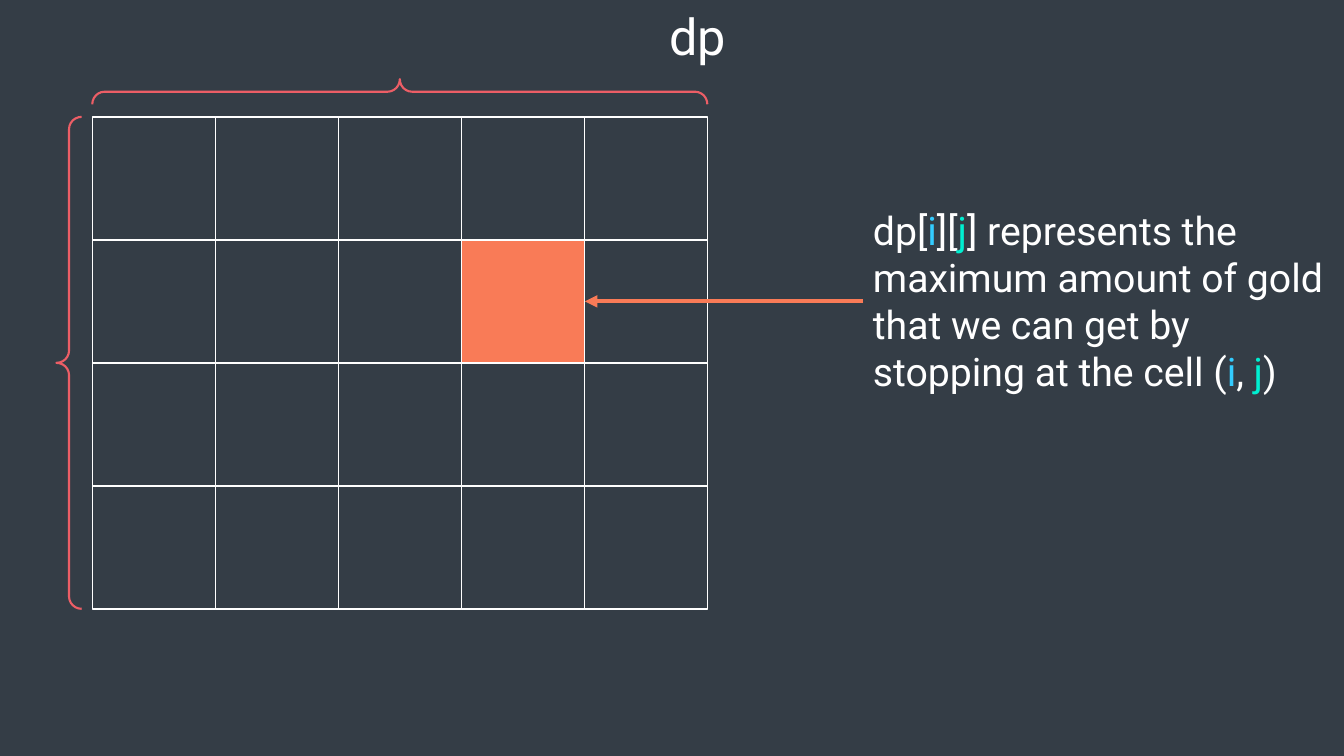
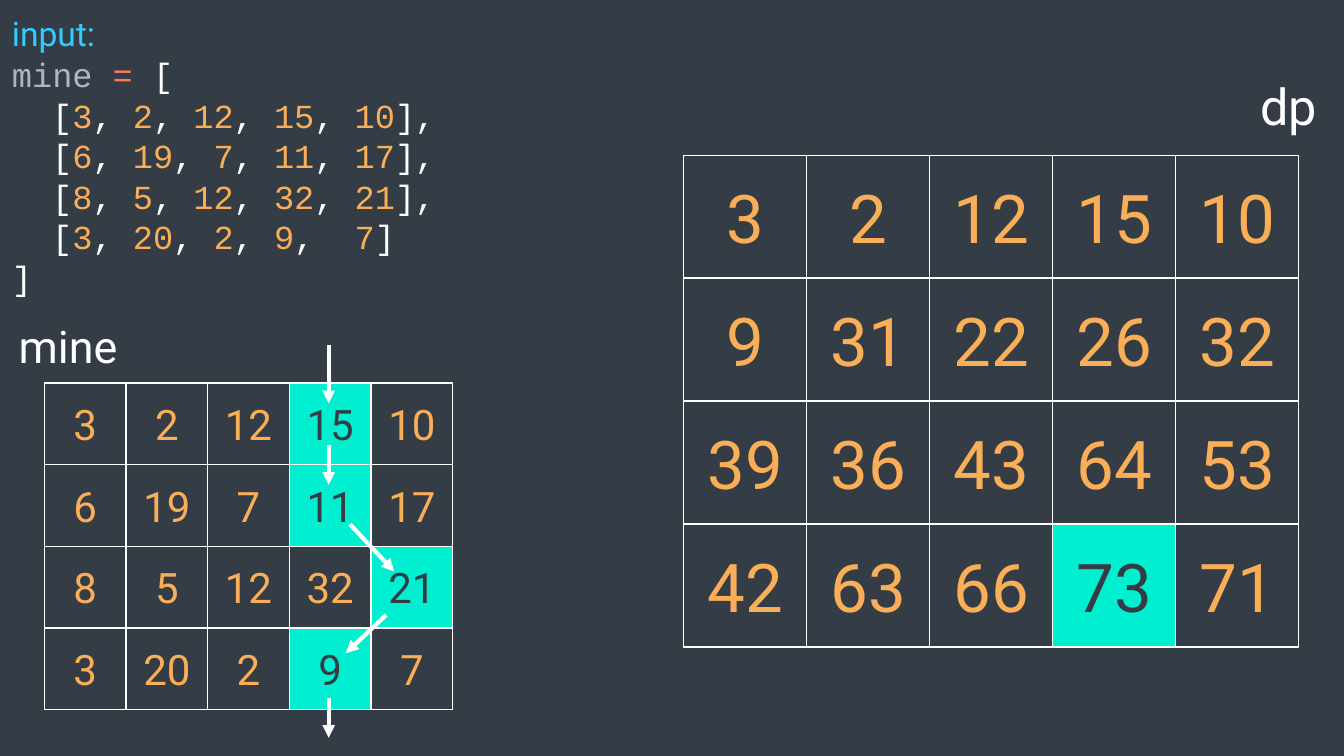
import dataclasses
import itertools

import lxml.etree
import pptx
import pptx.dml.color
import pptx.enum.shapes
import pptx.enum.text
import pptx.oxml.ns
import pptx.util

SHAPE = pptx.enum.shapes.MSO_SHAPE
ALIGN = pptx.enum.text.PP_ALIGN
ANCHOR = pptx.enum.text.MSO_ANCHOR
TITLE_ONLY = 5
EMU_PER_PX = 9144  # 100 px to the inch


@dataclasses.dataclass(frozen=True)
class Theme:
    background: str = "343D46"
    white: str = "FFFFFF"
    orange: str = "F97B57"
    amber: str = "F9AE57"
    blue: str = "33CCFF"
    teal: str = "00EFD1"
    red: str = "EC5E66"
    gray: str = "A9B7C6"
    font: str = "Roboto"
    code_font: str = "Courier New"
    title_size: int = 36
    label_size: int = 32
    body_size: int = 28
    code_size: int = 24
    code_leading: int = 29
    large_number: int = 48
    small_number: int = 30
    cell_line: float = 1
    brace_line: float = 1.5
    arrow_line: float = 3


THEME = Theme()

CODE_ROWS = [
    "[3, 2, 12, 15, 10],",
    "[6, 19, 7, 11, 17],",
    "[8, 5, 12, 32, 21],",
    "[3, 20, 2, 9,  7]",
]
MINE = [[int(number) for number in row.strip("[],").split(",")] for row in CODE_ROWS]
BEST_PATH = [(0, 3), (1, 3), (2, 4), (3, 3)]
DP = [
    [3, 2, 12, 15, 10],
    [9, 31, 22, 26, 32],
    [39, 36, 43, 64, 53],
    [42, 63, 66, 73, 71],
]


def px(*lengths):
    return [pptx.util.Emu(length * EMU_PER_PX) for length in lengths]


def rgb(color):
    return pptx.dml.color.RGBColor.from_string(color)


def add_span(para, text, *, size, color=THEME.white, font=THEME.font):
    span = para.add_run()
    span.text = text
    span.font.size = pptx.util.Pt(size)
    span.font.color.rgb = rgb(color)
    span.font.name = font


class Painter:
    """Holds the deck, its style and the slide being drawn."""

    def __init__(self, theme, width, height):
        self.theme = theme
        self.deck = pptx.Presentation()
        self.deck.slide_width, self.deck.slide_height = px(width, height)
        self.page = None

    def new_page(self, title, center, top):
        self.page = self.deck.slides.add_slide(self.deck.slide_layouts[TITLE_ONLY])
        self.page.background.fill.solid()
        self.page.background.fill.fore_color.rgb = rgb(self.theme.background)
        box = self.page.shapes.title
        width = 110
        box.left, box.top, box.width, box.height = px(center - width // 2, top, width, 71)
        self.fill_text(box.text_frame, [[(title, self.theme.white)]],
                       align=ALIGN.CENTER, size=self.theme.title_size)

    def fill_text(self, frame, lines, *, align=ALIGN.LEFT, anchor=ANCHOR.TOP, **style):
        """Write lines, each a list of (text, color) pairs, as paragraphs."""
        frame.word_wrap = True
        frame.auto_size = pptx.enum.text.MSO_AUTO_SIZE.NONE
        frame.vertical_anchor = anchor
        for index, line in enumerate(lines):
            para = frame.add_paragraph() if index else frame.paragraphs[0]
            para.alignment = align
            for text, color in line:
                add_span(para, text, color=color, **style)

    def text(self, left, top, width, height, line, **style):
        box = self.page.shapes.add_textbox(*px(left, top, width, height))
        self.fill_text(box.text_frame, [line], **style)

    def code(self, left, top, width, height, heading, lines, indents):
        """Write a heading and code lines, with one indent in px per code line."""
        theme = self.theme
        frame = self.page.shapes.add_textbox(*px(left, top, width, height)).text_frame
        self.fill_text(frame, [[(heading, theme.blue)]], size=theme.code_size)
        for line, indent in zip(lines, indents):
            para = frame.add_paragraph()
            para._p.get_or_add_pPr().set("marL", str(px(indent)[0]))
            for text, color in line:
                add_span(para, text, color=color, size=theme.code_size, font=theme.code_font)
        for para in frame.paragraphs:
            para.line_spacing = pptx.util.Pt(theme.code_leading)

    def cell(self, left, top, side, fill):
        box = self.page.shapes.add_shape(SHAPE.RECTANGLE, *px(left, top, side, side))
        box.shadow.inherit = False
        box.fill.solid()
        box.fill.fore_color.rgb = rgb(fill)
        box.line.color.rgb = rgb(self.theme.white)
        box.line.width = pptx.util.Pt(self.theme.cell_line)
        return box

    def grid(self, left, top, side, values, marked, mark_fill, size):
        """Draw a square per value; None leaves its square empty."""
        theme = self.theme
        for row, numbers in enumerate(values):
            for column, number in enumerate(numbers):
                is_marked = (row, column) in marked
                box = self.cell(left + column * side, top + row * side, side,
                                mark_fill if is_marked else theme.background)
                if number is not None:
                    color = theme.background if is_marked else theme.amber
                    self.fill_text(box.text_frame, [[(str(number), color)]], size=size,
                                   align=ALIGN.CENTER, anchor=ANCHOR.MIDDLE)

    def brace(self, left, top, width, height, rotation=0):
        brace = self.page.shapes.add_shape(SHAPE.LEFT_BRACE, *px(left, top, width, height))
        brace.rotation = rotation
        brace.adjustments[0] = 0.485
        brace.shadow.inherit = False
        brace.fill.background()
        brace.line.color.rgb = rgb(self.theme.red)
        brace.line.width = pptx.util.Pt(self.theme.brace_line)

    def arrow(self, start, end, color):
        arrow = self.page.shapes.add_connector(
            pptx.enum.shapes.MSO_CONNECTOR.STRAIGHT, *px(*start, *end))
        arrow.line.color.rgb = rgb(color)
        arrow.line.width = pptx.util.Pt(self.theme.arrow_line)
        qn = pptx.oxml.ns.qn
        properties = arrow.element.spPr
        lxml.etree.SubElement(properties.find(qn("a:ln")), qn("a:tailEnd"), type="triangle")
        lxml.etree.SubElement(properties, qn("a:effectLst"))


def draw_definition(painter):
    theme = painter.theme
    left, top, side, rows, columns = 92, 116, 122, 4, 5
    width, height = columns * side, rows * side
    painter.new_page("dp", center=692, top=0)
    painter.grid(left, top, side, [[None] * columns] * rows, [(1, 3)], theme.orange,
                 theme.large_number)

    depth, gap = 25, 12
    painter.brace(left - gap - depth + 1, top, depth, height)
    middle_x, middle_y = left + width // 2, top - gap - depth // 2 - 1
    painter.brace(middle_x - depth // 2 - 1, middle_y - width // 2, depth, width, rotation=90)

    white, row_index, column_index = theme.white, ("i", theme.blue), ("j", theme.teal)
    painter.text(856, 200, 477, 199, [
        ("dp[", white), row_index, ("][", white), column_index,
        ("] represents the maximum amount of gold that we can get by "
         "stopping at the cell (", white),
        row_index, (", ", white), column_index, (")", white),
    ], size=theme.body_size)
    painter.arrow((856, 299), (left + 4 * side, 299), theme.orange)


def draw_result(painter):
    theme = painter.theme
    painter.new_page("dp", center=1278, top=69)
    painter.grid(678, 154, 122, DP, [(3, 3)], theme.teal, theme.large_number)

    code_rows = [
        [("".join(part), theme.amber if is_number else theme.white)
         for is_number, part in itertools.groupby(row, str.isdigit)]
        for row in CODE_ROWS
    ]
    opening = [("mine ", theme.gray), ("= ", theme.orange), ("[", theme.white)]
    painter.code(2, 8, 494, 293, "input:", [opening, *code_rows, [("]", theme.white)]],
                 [0] + [40] * len(code_rows) + [0])

    painter.text(0, 311, 135, 64, [("mine", theme.white)],
                 align=ALIGN.CENTER, size=theme.label_size)
    painter.grid(44, 380, 81, MINE, BEST_PATH, theme.teal, theme.small_number)
    for start, end in [
        ((326, 342), (326, 400)),
        ((326, 441), (326, 481)),
        ((347, 520), (391, 567)),
        ((383, 610), (343, 648)),
        ((326, 692), (326, 732)),
    ]:
        painter.arrow(start, end, theme.white)


def main():
    painter = Painter(THEME, 1333, 750)
    draw_definition(painter)
    draw_result(painter)
    painter.deck.save("out.pptx")


if __name__ == "__main__":
    main()
